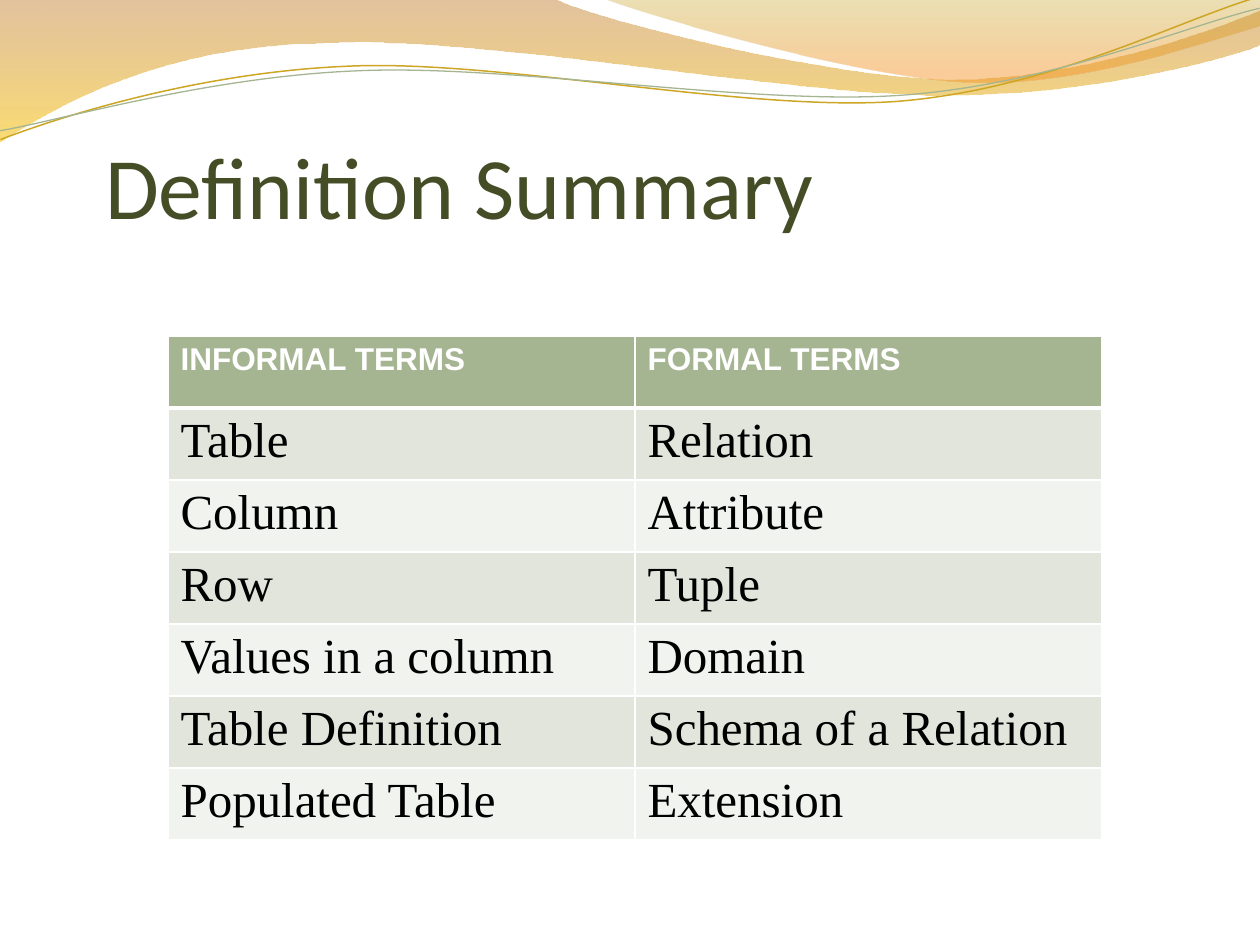
import pptx
import pptx.util
import pptx.dml.color
import pptx.enum.text
import pptx.oxml.ns
from lxml import etree

THEME = {
    "title": ("Calibri", 50, "444D26", False),
    "header": ("Arial", 18, "FFFFFF", True),
    "body": ("Times New Roman", 28, "000000", False),
    "header_fill": "A5B592",
    "band_fills": ("E1E5DC", "F0F3EE"),
    "border": "FFFFFF",
}

TITLE = "Definition Summary"
TITLE_BOX = (105, 27, 1155, 210)
TERMS = [
    ("INFORMAL TERMS", "FORMAL TERMS"),
    ("Table", "Relation"),
    ("Column", "Attribute"),
    ("Row", "Tuple"),
    ("Values in a column", "Domain"),
    ("Table Definition", "Schema of a Relation"),
    ("Populated Table", "Extension"),
]
TABLE_LEFT, TABLE_TOP, COL_W, ROW_H = 168, 336, 467, 72

# Each step is a line end (x, y) or a Bezier (x1, y1, x2, y2, x, y).
WAVES = [
    {"steps": [(0, 0), (554, -1), (600, 21, 837, 79, 955, 79),
               (1075, 79, 1207, 33, 1260, 11), (1261, 45),
               (1238, 55, 1096, 96, 940, 95), (784, 95, 481, 35, 324, 43),
               (163, 45, 58, 105, -1, 142)],
     "stops": [(0, "C07A28", 45), (1, "F7BF00", 55)]},
    {"steps": [(604, -1), (641, 14, 859, 78, 969, 82),
               (1079, 87, 1211, 40, 1260, 26), (1260, 0)],
     "stops": [(0, "C09709", 30), (0.8, "F59320", 45)]},
    {"steps": [(-2, 110), (58, 90, 199, 52, 349, 53),
               (499, 53, 745, 118, 896, 114), (1049, 109, 1184, 45, 1260, 27)],
     "line": ("CCA624", 0.85)},
    {"steps": [(-2, 101), (57, 94, 207, 57, 357, 58),
               (509, 58, 750, 112, 902, 108), (1052, 104, 1187, 52, 1262, 38)],
     "line": ("A5B592", 0.75)},
]
LINE_TILT = 357.3
SCALE = 914400 / 126


def px(n):
    return pptx.util.Emu(round(n * SCALE))


def rgb(code):
    return pptx.dml.color.RGBColor.from_string(code)


def sub(parent, tag, **attrs):
    return etree.SubElement(parent, pptx.oxml.ns.qn(tag), **attrs)


def style(p, key):
    name, size, color, bold = THEME[key]
    for r in p.runs:
        r.font.name = name
        r.font.size = pptx.util.Pt(size)
        r.font.color.rgb = rgb(color)
        r.font.bold = bold


def bend(sp, steps):
    segments = list(sp._element.iter(pptx.oxml.ns.qn("a:lnTo")))
    for step in steps[1:]:
        count = len(step) // 2
        group, segments = segments[:count], segments[count:]
        if count == 3:
            curve = etree.Element(pptx.oxml.ns.qn("a:cubicBezTo"))
            group[0].addprevious(curve)
            for segment in group:
                curve.append(segment[0])
                segment.getparent().remove(segment)


def add_wave(slide, wave):
    steps = wave["steps"]
    points = [(px(step[i]), px(step[i + 1]))
              for step in steps for i in range(0, len(step), 2)]
    builder = slide.shapes.build_freeform(*points[0])
    builder.add_line_segments(points[1:], close="stops" in wave)
    sp = builder.convert_to_shape()
    bend(sp, steps)
    sp.shadow.inherit = False
    if "line" in wave:
        color, width = wave["line"]
        sp.rotation = LINE_TILT
        sp.fill.background()
        sp.line.color.rgb = rgb(color)
        sp.line.width = pptx.util.Pt(width)
        return
    sp.line.fill.background()
    sp.fill.gradient()
    sp.fill.gradient_angle = 270
    for stop, (position, color, _) in zip(sp.fill.gradient_stops, wave["stops"]):
        stop.position = position
        stop.color.rgb = rgb(color)
    nodes = list(sp._element.spPr.iter(pptx.oxml.ns.qn("a:srgbClr")))
    for node, (_, _, alpha) in zip(nodes, wave["stops"]):
        sub(node, "a:alpha", val=str(alpha * 1000))


def add_title(slide):
    box = slide.shapes.add_textbox(*map(px, TITLE_BOX))
    tf = box.text_frame
    tf.word_wrap = True
    tf.vertical_anchor = pptx.enum.text.MSO_ANCHOR.BOTTOM
    tf.margin_left = tf.margin_right = tf.margin_bottom = 0
    tf.text = TITLE
    style(tf.paragraphs[0], "title")


def set_borders(cell, row):
    tcPr = cell._tc.get_or_add_tcPr()
    widths = {"L": 1, "R": 1, "T": 3 if row == 1 else 1, "B": 3 if row == 0 else 1}
    for i, (side, width) in enumerate(widths.items()):
        ln = etree.Element(pptx.oxml.ns.qn("a:ln" + side), w=str(width * 12700))
        sub(sub(ln, "a:solidFill"), "a:srgbClr", val=THEME["border"])
        tcPr.insert(i, ln)


def add_terms(slide):
    rows, cols = len(TERMS), len(TERMS[0])
    frame = slide.shapes.add_table(rows, cols, px(TABLE_LEFT), px(TABLE_TOP),
                                   px(cols * COL_W), px(rows * ROW_H))
    table = frame.table
    for col in table.columns:
        col.width = px(COL_W)
    for i, terms in enumerate(TERMS):
        table.rows[i].height = px(ROW_H)
        fill = THEME["band_fills"][(i - 1) % 2] if i else THEME["header_fill"]
        for j, term in enumerate(terms):
            cell = table.cell(i, j)
            cell.text_frame.text = term
            style(cell.text_frame.paragraphs[0], "body" if i else "header")
            cell.fill.solid()
            cell.fill.fore_color.rgb = rgb(fill)
            set_borders(cell, i)


def main():
    prs = pptx.Presentation()
    prs.slide_width, prs.slide_height = px(1260), px(945)
    slide = prs.slides.add_slide(prs.slide_layouts[6])
    for wave in WAVES:
        add_wave(slide, wave)
    add_title(slide)
    add_terms(slide)
    prs.save("out.pptx")


if __name__ == "__main__":
    main()
